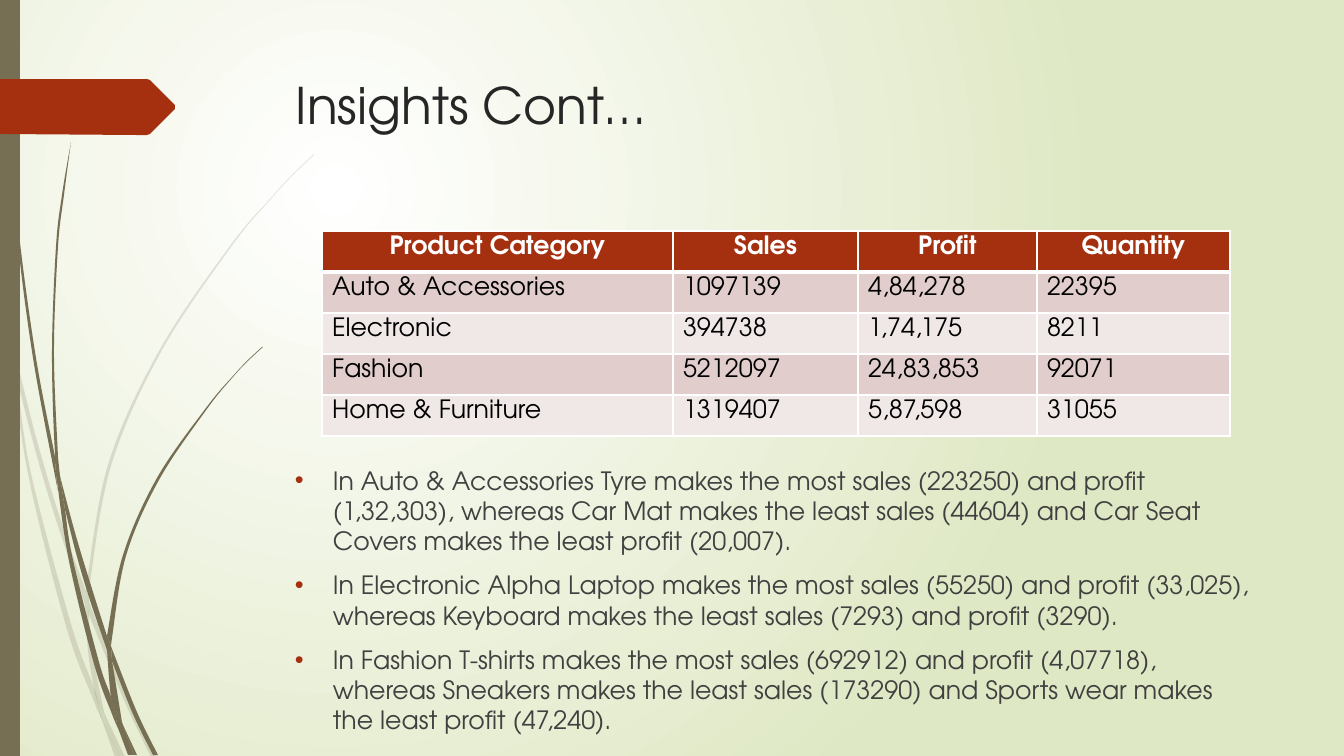
"""Build the product category insights slide with its grass decoration."""
from lxml import etree
from pptx import Presentation, util as u
from pptx.dml.color import RGBColor
from pptx.enum import shapes, text
from pptx.oxml import ns

PIXEL = 914400 / 100.8
FONT = "TeX Gyre Adventor"
WHITE = RGBColor(0xFF, 0xFF, 0xFF)
BLACK = RGBColor(0x00, 0x00, 0x00)
SAGE = RGBColor(0xDF, 0xE8, 0xC4)
OLIVE = RGBColor(0x76, 0x6F, 0x54)
RUST = RGBColor(0xA5, 0x30, 0x10)
TITLE_GREY = RGBColor(0x26, 0x26, 0x26)
BODY_GREY = RGBColor(0x40, 0x40, 0x40)
BANDS = RGBColor(0xE1, 0xCD, 0xCC), RGBColor(0xF0, 0xE8, 0xE7)

FAINT_BLADES = [
    ([(0, 284), (11, 353)], [(10, 347), (0, 301)]),
    ([(14, 348), (36, 437), (62, 524), (86, 591)], [(85, 604), (58, 526), (36, 453), (17, 379)]),
    ([(89, 601), (93, 612), (128, 698), (156, 757)], [(151, 757), (124, 700), (89, 615)]),
    ([(106, 717), (125, 757)], [(120, 757)]),
    ([(11, 353), (28, 474), (66, 626), (93, 699), (102, 720)],
     [(100, 713), (94, 688), (71, 624), (31, 473), (17, 379)]),
    ([(85, 604), (88, 651), (94, 688), (97, 698), (106, 717)],
     [(104, 712), (92, 651), (89, 615), (89, 613)]),
    ([(89, 589), (111, 466), (161, 352), (231, 247), (270, 200), (292, 176), (314, 155)],
     [(314, 154), (291, 176), (270, 199), (230, 246), (159, 351), (108, 465), (86, 589)],
     [(86, 591), (89, 601)]),
    ([(102, 720), (115, 757)], [(120, 757)]),
    ([(89, 613), (89, 601)], [(86, 591), (85, 604)]),
    ([(94, 688), (100, 713), (102, 720), (120, 757)], [(106, 717), (97, 698)]),
]
DARK_BLADES = [
    ([(3, 0), (5, 48), (7, 111), (17, 235), (33, 358), (56, 481), (57, 485)],
     [(55, 461), (55, 457), (36, 358), (19, 234), (8, 110), (5, 48), (4, 0)]),
    ([(60, 476), (76, 536), (94, 595), (107, 636)], [(107, 650), (89, 597), (76, 553), (65, 509)]),
    ([(111, 646), (114, 654), (137, 712), (158, 755)], [(153, 755), (133, 714), (112, 661)]),
    ([(57, 481), (69, 561), (94, 664), (112, 714), (118, 728)],
     [(117, 723), (111, 697), (99, 662), (73, 560), (65, 509)]),
    ([(71, 142), (62, 195), (56, 247), (52, 352), (55, 453), (60, 476)],
     [(58, 457), (54, 352), (58, 247), (64, 195), (71, 142)]),
    ([(123, 725), (134, 755)], [(137, 755)]),
    ([(55, 453), (55, 457), (57, 481), (65, 509)], [(60, 476)]),
    ([(112, 638), (126, 556), (159, 480), (207, 409), (233, 377), (247, 362), (263, 347)],
     [(262, 347), (247, 361), (233, 376), (206, 408), (157, 478), (123, 555), (107, 636)],
     [(111, 646)]),
    ([(118, 728), (128, 755)], [(132, 755)]),
    ([(107, 650), (111, 697), (117, 712), (123, 725)], [(122, 722), (112, 661), (110, 656)]),
    ([(107, 650), (110, 656), (112, 661)], [(111, 646), (107, 636)]),
    ([(111, 697), (117, 723), (118, 728), (131, 755)], [(134, 755), (123, 725), (117, 712)]),
]
RIBBON = [[point] for point in (
    (0, 79), (137, 79), (147, 79), (150, 80), (175, 105), (175, 109), (150, 134), (147, 135),
    (137, 135), (0, 134))]
TABLE_ROWS = [
    ("Product Category", "Sales", "Profit", "Quantity"),
    ("Auto & Accessories", "1097139", "4,84,278", "22395"),
    ("Electronic", "394738", "1,74,175", "8211"),
    ("Fashion", "5212097", "24,83,853", "92071"),
    ("Home & Furniture", "1319407", "5,87,598", "31055"),
]
INSIGHTS = [
    "In Auto & Accessories Tyre makes the most sales (223250) and profit (1,32,303), "
    "whereas Car Mat makes the least sales (44604) and Car Seat Covers makes the least "
    "profit (20,007).",
    "In Electronic Alpha Laptop makes the most sales (55250) and profit (33,025), "
    "whereas Keyboard makes the least sales (7293) and profit (3290).",
    "In Fashion T-shirts makes the most sales (692912) and profit (4,07718), whereas "
    "Sneakers makes the least sales (173290) and Sports wear makes the least profit (47,240).",
]


def px(length):
    """Turn pixels into EMU."""
    return u.Emu(round(length * PIXEL))


def add_xml(parent, tag, **attributes):
    """Append a drawing element and return it."""
    return etree.SubElement(parent, ns.qn(tag), attributes)


def write(para, words, size=18, color=BODY_GREY, bold=False, align=text.PP_ALIGN.LEFT):
    """Put one formatted span in a paragraph."""
    para.alignment = align
    span = para.add_run()
    span.text = words
    span.font.name, span.font.size, span.font.bold = FONT, u.Pt(size), bold
    span.font.color.rgb = color


def edge_handles(edge):
    """Give the two curve handles for each step along an edge."""
    padded = [edge[0], *edge, edge[-1]]
    return [([b + (c - a) / 6 for a, b, c in zip(before, start, end)],
             [c - (d - b) / 6 for b, c, d in zip(start, end, after)])
            for before, start, end, after in zip(padded, padded[1:], padded[2:], padded[3:])]


class SlideBuilder:
    """Hold the deck, the current page and its style."""

    def __init__(self):
        """Open a widescreen deck with one blank page."""
        self.deck = Presentation()
        self.deck.slide_width, self.deck.slide_height = px(1344), px(756)
        self.page = self.deck.slides.add_slide(self.deck.slide_layouts[6])

    def background(self, inner, outer):
        """Fill the page with a circular gradient."""
        fill = self.page.background.fill
        fill.gradient()
        for stop, color, position in zip(fill.gradient_stops, (inner, outer), (0, 1)):
            stop.color.rgb, stop.position = color, position
        gradient = next(self.page.element.iter(ns.qn("a:gradFill")))
        gradient.remove(gradient.find(ns.qn("a:lin")))
        circle = add_xml(gradient, "a:path", path="circle")
        add_xml(circle, "a:fillToRect", l="50000", t="50000", r="100000", b="100000")

    def paint(self, shape, color, opacity=100):
        """Give a shape a plain fill without line or shadow."""
        shape.shadow.inherit = False
        shape.line.fill.background()
        shape.fill.solid()
        shape.fill.fore_color.rgb = color
        if opacity < 100:
            tint = next(shape.element.spPr.iter(ns.qn("a:srgbClr")))
            add_xml(tint, "a:alpha", val=str(opacity * 1000))

    def outline(self, edges, color, opacity=100):
        """Draw a closed freeform whose edges are smooth and meet at corners."""
        points = [(px(x), px(y)) for edge in edges for x, y in edge]
        builder = self.page.shapes.build_freeform(*points[0])
        builder.add_line_segments(points[1:], close=True)
        shape = builder.convert_to_shape()
        handles = [pair for edge in edges for pair in [None, *edge_handles(edge)]][1:]
        for line, pair in zip(list(shape.element.iter(ns.qn("a:lnTo"))), handles):
            if pair:
                line.tag = ns.qn("a:cubicBezTo")
                for index, (x, y) in enumerate(pair):
                    handle = etree.Element(ns.qn("a:pt"), x=str(px(x) - shape.left),
                                           y=str(px(y) - shape.top))
                    line.insert(index, handle)
        self.paint(shape, color, opacity)

    def bar(self, left, top, width, height, color):
        """Draw a filled rectangle."""
        frame = map(px, (left, top, width, height))
        self.paint(self.page.shapes.add_shape(shapes.MSO_SHAPE.RECTANGLE, *frame), color)

    def words(self, left, top, width, height, lines, bullet=None, before=0, **style):
        """Place a text box, one paragraph per line."""
        box = self.page.shapes.add_textbox(*map(px, (left, top, width, height)))
        frame = box.text_frame
        frame.word_wrap = True
        for index, line in enumerate(lines):
            para = frame.add_paragraph() if index else frame.paragraphs[0]
            write(para, line, **style)
            para.space_before = u.Pt(before)
            if bullet:
                layout = para._p.get_or_add_pPr()
                layout.set("marL", str(px(38)))
                layout.set("indent", str(-px(38)))
                add_xml(add_xml(layout, "a:buClr"), "a:srgbClr", val=str(RUST))
                add_xml(layout, "a:buFont", typeface="Arial")
                add_xml(layout, "a:buChar", char=bullet)

    def table(self, left, top, widths, row_height, rows):
        """Place a banded table with a ruled header row."""
        frame = map(px, (left, top, sum(widths), row_height * len(rows)))
        grid = self.page.shapes.add_table(len(rows), len(widths), *frame).table
        for column, width in zip(grid.columns, widths):
            column.width = px(width)
        header = dict(color=WHITE, bold=True, align=text.PP_ALIGN.CENTER)
        for r, row in enumerate(rows):
            grid.rows[r].height = px(row_height)
            for c, words in enumerate(row):
                cell = grid.cell(r, c)
                write(cell.text_frame.paragraphs[0], words, **(dict(color=BLACK) if r else header))
                if r == 0:
                    self.borders(cell, L=1, R=1, T=1, B=3)
                cell.fill.solid()
                cell.fill.fore_color.rgb = BANDS[(r - 1) % 2] if r else RUST

    def borders(self, cell, **sides):
        """Rule the named sides of a cell in white."""
        for side, points in sides.items():
            rule = add_xml(cell._tc.get_or_add_tcPr(), f"a:ln{side}", w=str(u.Pt(points)))
            add_xml(add_xml(rule, "a:solidFill"), "a:srgbClr", val=str(WHITE))


slide = SlideBuilder()
slide.background(WHITE, SAGE)
for blades, opacity in ((FAINT_BLADES, 20), (DARK_BLADES, 100)):
    for blade in blades:
        slide.outline(blade, OLIVE, opacity)
slide.bar(0, 0, 20, 756, OLIVE)
slide.outline(RIBBON, RUST)
slide.words(286, 69, 983, 141, ["Insights Cont…"], size=36, color=TITLE_GREY)
slide.words(285, 460, 983, 296, INSIGHTS, bullet="•", before=10)
slide.table(322, 231, (351, 185, 179, 193), 41, TABLE_ROWS)
slide.deck.save("out.pptx")
